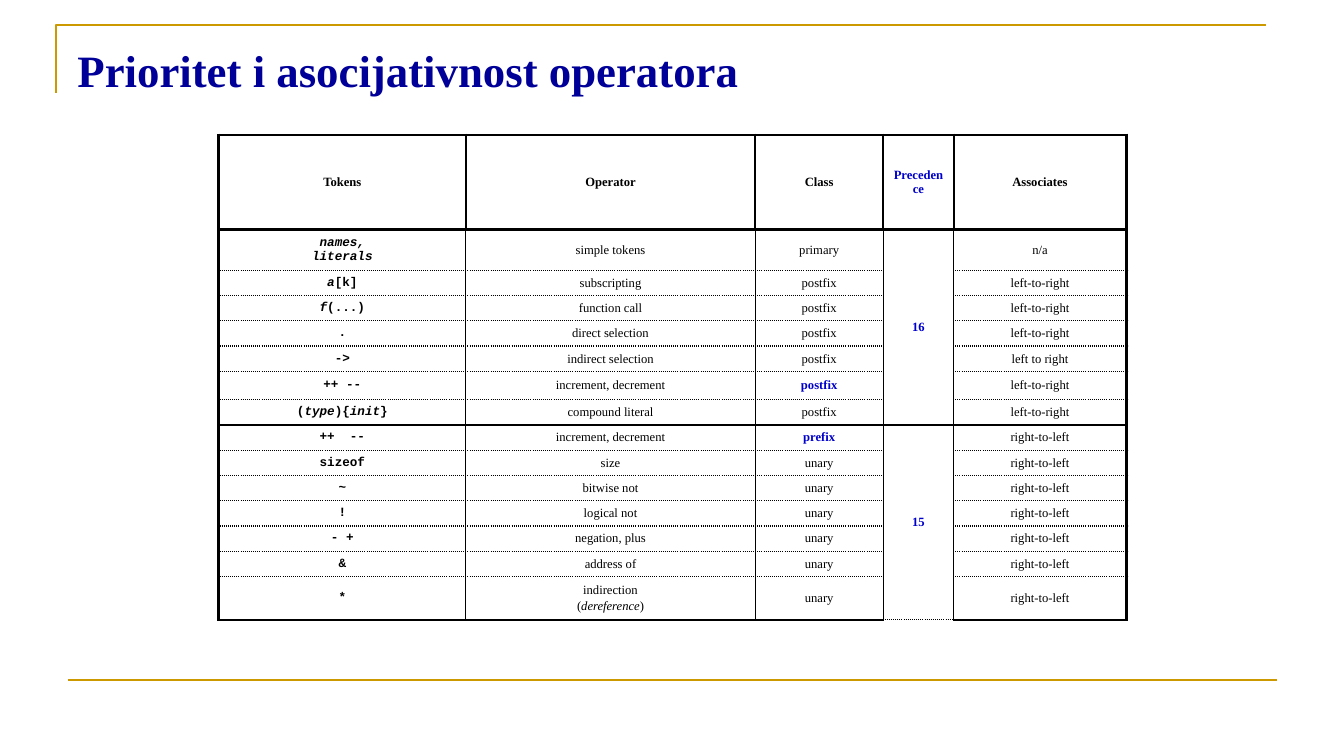
import pptx
import pptx.util
import pptx.dml.color
import pptx.enum.shapes
import pptx.enum.text
import pptx.oxml
import pptx.oxml.ns
from dataclasses import dataclass

# Content: _marks_ italics, \v breaks a line, \n starts a paragraph, ! in front marks emphasis
TITLE = "Prioritet i asocijativnost operatora"
HEADER = ("Tokens", "Operator", "Class", "Precedence", "Associates")
GROUPS = [
    ("16", [
        ("_names,_\v_literals_", "simple tokens", "primary", "n/a"),
        ("_a_[k]", "subscripting", "postfix", "left-to-right"),
        ("_f_(...)", "function call", "postfix", "left-to-right"),
        (".", "direct selection", "postfix", "left-to-right"),
        ("->", "indirect selection", "postfix", "left to right"),
        ("++ --", "increment, decrement", "!postfix", "left-to-right"),
        ("(_type_){_init_}", "compound literal", "postfix", "left-to-right"),
    ]),
    ("15", [
        ("++  --", "increment, decrement", "!prefix", "right-to-left"),
        ("sizeof", "size", "unary", "right-to-left"),
        ("~", "bitwise not", "unary", "right-to-left"),
        ("!", "logical not", "unary", "right-to-left"),
        ("- +", "negation, plus", "unary", "right-to-left"),
        ("&", "address of", "unary", "right-to-left"),
        ("*", "indirection\n(_dereference_)", "unary", "right-to-left"),
    ]),
]
TOKEN, PRECEDENCE = 0, 3

# Layout in inches
SLIDE_W, SLIDE_H = 13.33, 7.5
RULE_W = 12
COLS = [2.45, 2.87, 1.27, 0.7, 1.71]
ROWS = [0.25] * 15
for row, height in {0: 0.94, 1: 0.4, 6: 0.28, 14: 0.43}.items():
    ROWS[row] = height


@dataclass
class Theme:
    serif: str = "Times New Roman"
    mono: str = "Courier New"
    title: str = "000099"
    emphasis: str = "0000CC"
    text: str = "000000"
    rule: str = "CC9900"
    title_size: float = 32
    cell_size: float = 9
    rule_width: float = 1.5
    heavy: float = 2.25
    medium: float = 1.5
    thin: float = 1


theme = Theme()
inch, pt = pptx.util.Inches, pptx.util.Pt
rgb = pptx.dml.color.RGBColor.from_string
ANCHOR = pptx.enum.text.MSO_ANCHOR


def set_font(font, name, size, color, bold):
    font.name, font.size, font.bold = name, pt(size), bold
    font.color.rgb = rgb(color)


def write_cell(cell, text, name=theme.serif, color=theme.text, bold=False):
    tf = cell.text_frame
    cell.vertical_anchor = ANCHOR.MIDDLE
    for i, paragraph in enumerate(text.split("\n")):
        p = tf.add_paragraph() if i else tf.paragraphs[0]
        p.alignment = pptx.enum.text.PP_ALIGN.CENTER
        if i:
            p.space_before = pt(0.2 * theme.cell_size)
        set_font(p.font, name, theme.cell_size, color, bold)
        for j, line in enumerate(paragraph.split("\v")):
            if j:
                p.add_line_break()
            for k, part in enumerate(line.split("_")):
                if part:
                    r = p.add_run()
                    r.text = part
                    if k % 2:
                        r.font.italic = True


def set_borders(cell, **sides):
    tcPr = cell._tc.get_or_add_tcPr()
    for side in "LRTB":
        width, dash = sides[side]
        tcPr.append(pptx.oxml.parse_xml(
            f'<a:ln{side} {pptx.oxml.ns.nsdecls("a")} w="{pt(width)}">'
            f'<a:solidFill><a:srgbClr val="{theme.text}"/></a:solidFill>'
            f'<a:prstDash val="{dash}"/></a:ln{side}>'))


def row_line(i):
    """Line above row i; groups and the header are parted by solid lines."""
    if i in (0, 1, len(ROWS)):
        return theme.heavy, "solid"
    if i == 1 + len(GROUPS[0][1]):
        return theme.medium, "solid"
    return theme.thin, "sysDot"


def column_line(row, i):
    if i in (0, len(COLS)):
        return theme.heavy, "solid"
    return (theme.thin if row else theme.medium), "solid"


prs = pptx.Presentation()
prs.slide_width, prs.slide_height = inch(SLIDE_W), inch(SLIDE_H)
s = prs.slides.add_slide(prs.slide_layouts[6])

# Corner frame and bottom rule
builder = s.shapes.build_freeform(inch(0.56), inch(0.92))
builder.add_line_segments([(inch(0.56), inch(0.25)),
                           (inch(0.56 + RULE_W), inch(0.25))], close=False)
frame = builder.convert_to_shape()
frame.fill.background()
frame.shadow.inherit = False
bottom = s.shapes.add_connector(pptx.enum.shapes.MSO_CONNECTOR.STRAIGHT, inch(0.67),
                                inch(0.9 * SLIDE_H), inch(0.67 + RULE_W), inch(0.9 * SLIDE_H))
bottom._element.spPr.append(
    pptx.oxml.parse_xml(f'<a:effectLst {pptx.oxml.ns.nsdecls("a")}/>'))
for sp in (frame, bottom):
    sp.line.color.rgb = rgb(theme.rule)
    sp.line.width = pt(theme.rule_width)

# Title
tf = s.shapes.add_textbox(inch(0.67), inch(0.3), inch(RULE_W), inch(0.85)).text_frame
tf.word_wrap = True
tf.margin_top = inch(0.12)
p = tf.paragraphs[0]
p.text = TITLE
set_font(p.font, theme.serif, theme.title_size, theme.title, True)

# Table grid
table = s.shapes.add_table(len(ROWS), len(COLS), inch(2.17), inch(1.34),
                           inch(sum(COLS)), inch(sum(ROWS))).table
table.first_row = table.horz_banding = False
for column, width in zip(table.columns, COLS):
    column.width = inch(width)
for i, height in enumerate(ROWS):
    table.rows[i].height = inch(height)
    for j in range(len(COLS)):
        cell = table.cell(i, j)
        set_borders(cell, L=column_line(i, j), R=column_line(i, j + 1),
                    T=row_line(i), B=row_line(i + 1))
        cell.fill.background()

# Table text
for j, text in enumerate(HEADER):
    write_cell(table.cell(0, j), text, bold=True,
               color=theme.emphasis if j == PRECEDENCE else theme.text)
top = 1
for precedence, operators in GROUPS:
    last = top + len(operators) - 1
    level = table.cell(top, PRECEDENCE)
    level.merge(table.cell(last, PRECEDENCE))
    set_borders_bottom = row_line(last + 1)
    write_cell(level, precedence, color=theme.emphasis, bold=True)
    for i, (token, *details) in enumerate(operators, top):
        write_cell(table.cell(i, TOKEN), token, theme.mono, bold=True)
        for j, text in zip((1, 2, 4), details):
            strong = text.startswith("!")
            write_cell(table.cell(i, j), text.lstrip("!"), bold=strong,
                       color=theme.emphasis if strong else theme.text)
    top = last + 1

prs.save("out.pptx")
